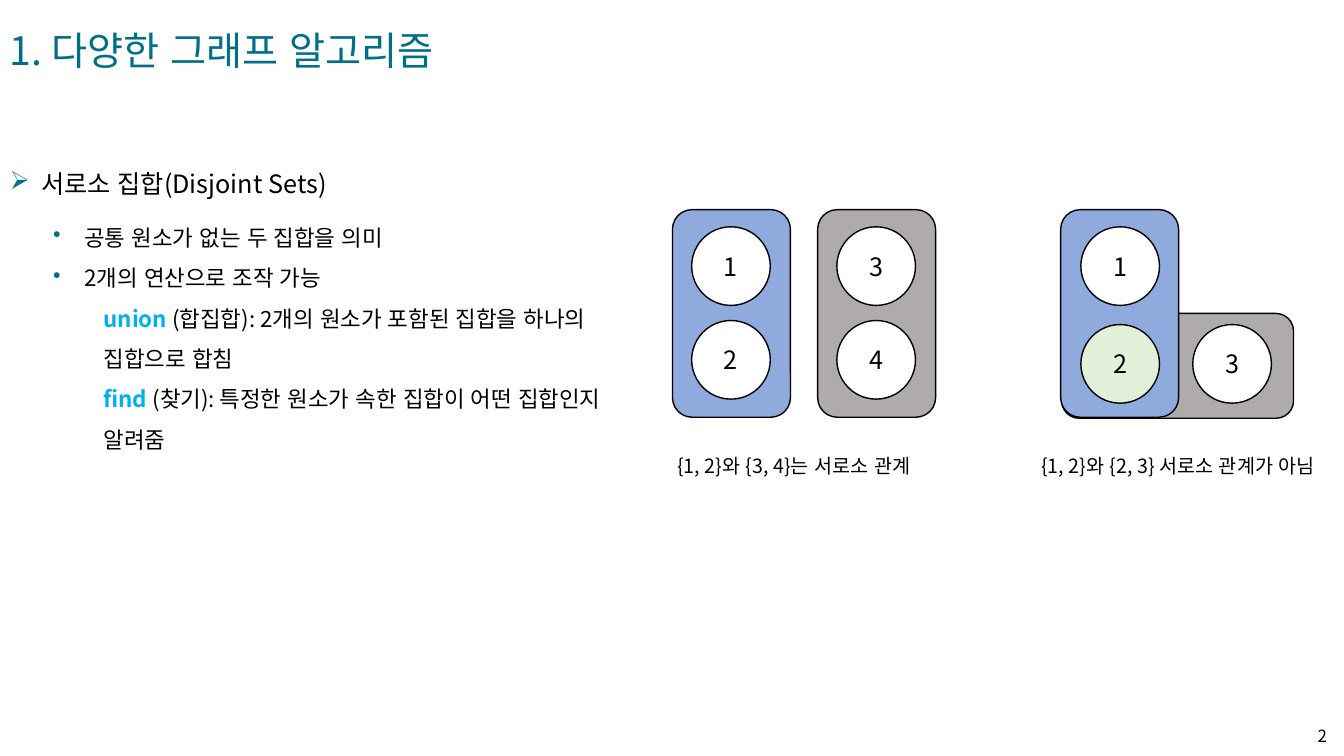
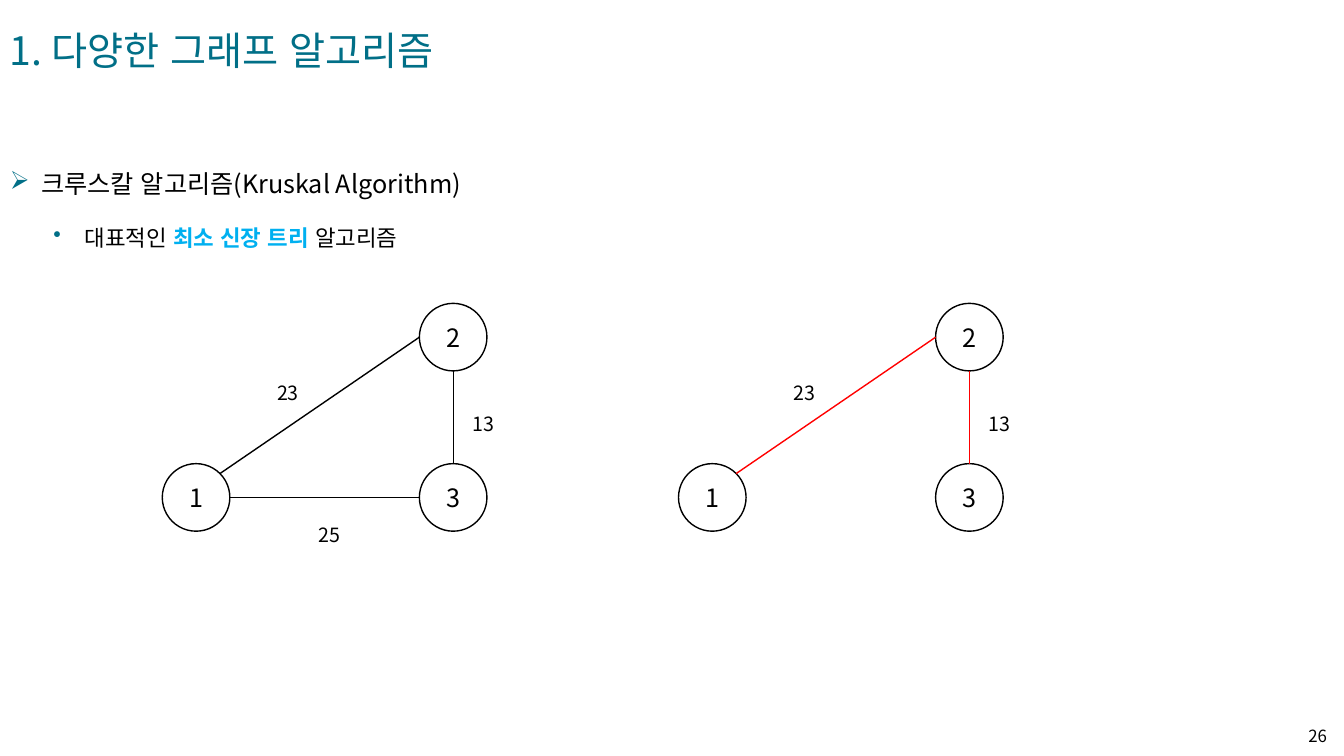
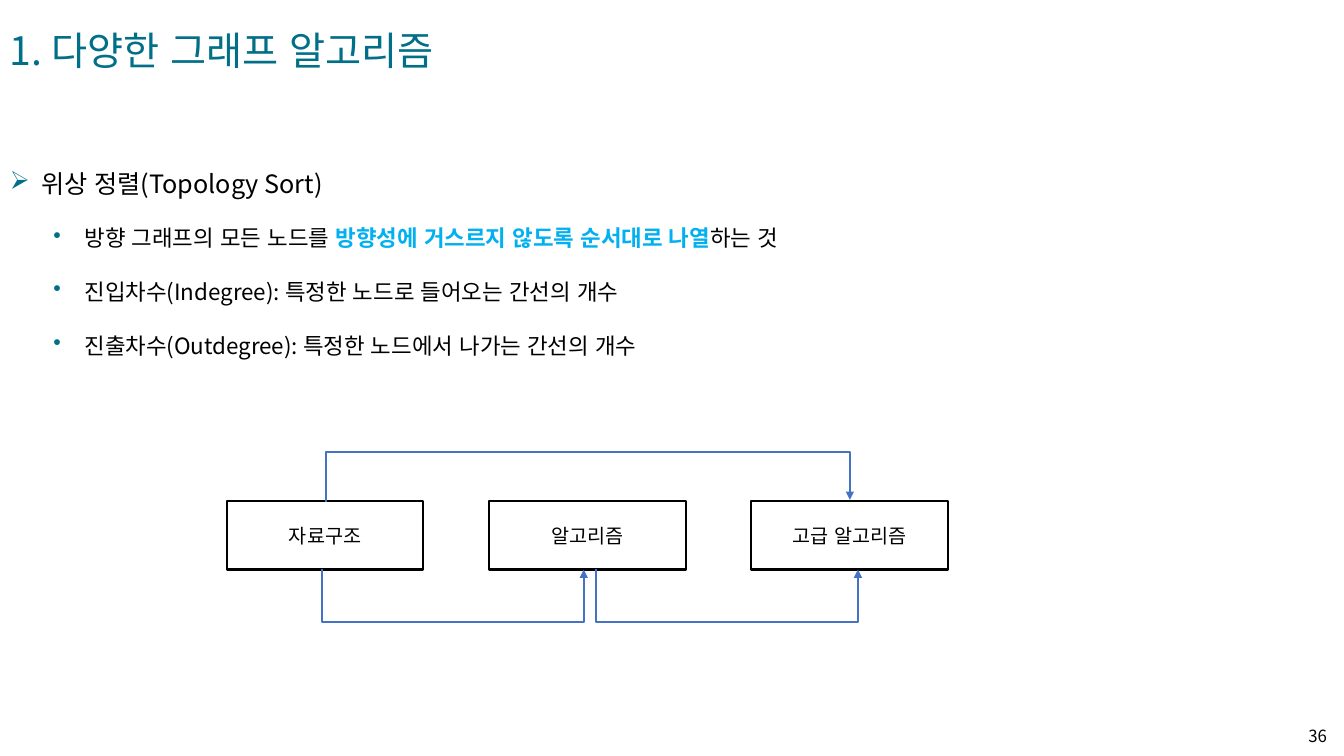
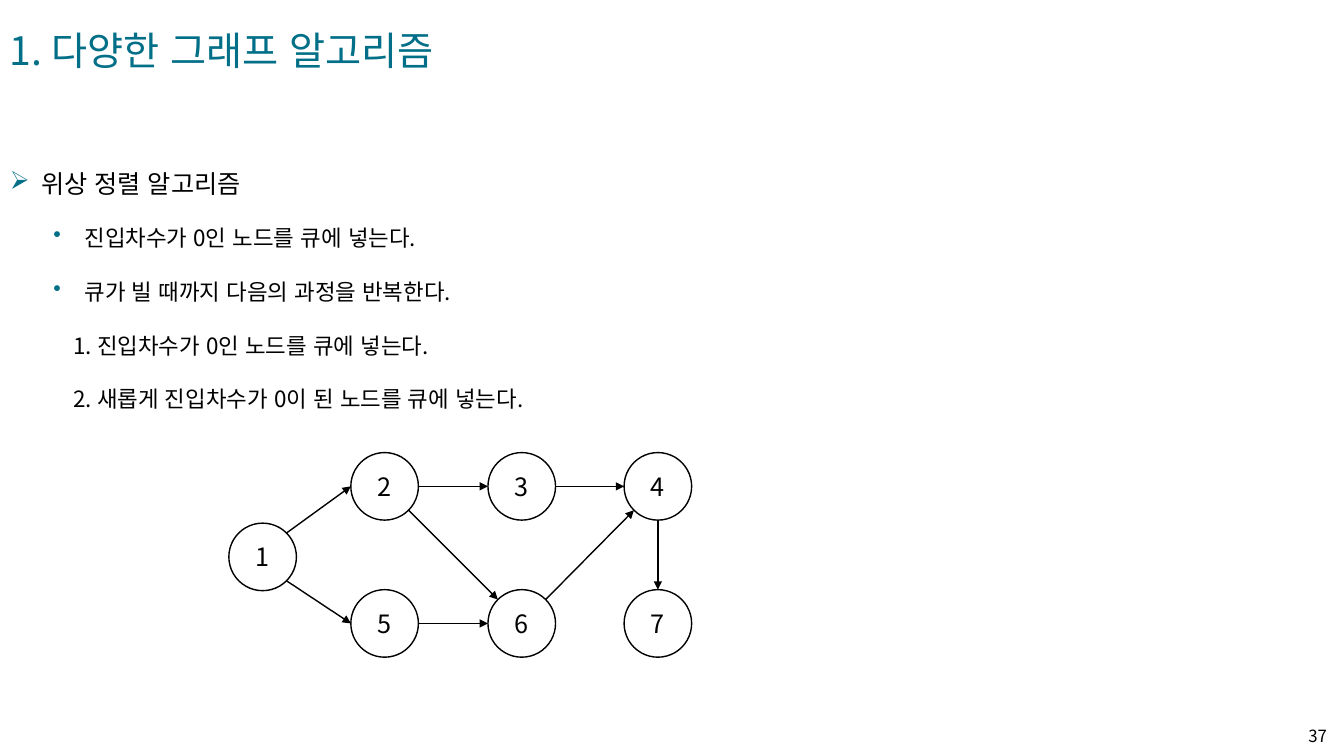
"""Builds four slides on disjoint sets, Kruskal's algorithm and topological sorting."""
from math import sqrt

from lxml import etree
from pptx import Presentation
from pptx.dml.color import RGBColor
from pptx.enum.lang import MSO_LANGUAGE_ID
from pptx.enum.shapes import MSO_CONNECTOR, MSO_SHAPE
from pptx.enum.text import MSO_ANCHOR, PP_ALIGN
from pptx.oxml.ns import qn
from pptx.util import Emu, Pt

PX = 9144
FONT = "Noto Sans CJK KR"
TEAL, SKY, BLACK, WHITE = "016F87", "00B0F0", "000000", "FFFFFF"
BLUE, GRAY, GREEN, RED, ARROW_BLUE = "8FAADC", "AFABAB", "E2F0D9", "FF0000", "4472C4"
OVAL, RECT, ROUND_RECT = MSO_SHAPE.OVAL, MSO_SHAPE.RECTANGLE, MSO_SHAPE.ROUNDED_RECTANGLE
STRAIGHT, ELBOW = MSO_CONNECTOR.STRAIGHT, MSO_CONNECTOR.ELBOW
LEFT, CENTER, RIGHT = PP_ALIGN.LEFT, PP_ALIGN.CENTER, PP_ALIGN.RIGHT
TOP, MIDDLE = MSO_ANCHOR.TOP, MSO_ANCHOR.MIDDLE
KOREAN = MSO_LANGUAGE_ID.KOREAN

TITLE = "1. 다양한 그래프 알고리즘"
NODE = 67
ELEMENT = 78
DIAGONAL = 1 / sqrt(2)
SITES = {
    "N": (0, -1), "E": (1, 0), "S": (0, 1), "W": (-1, 0),
    "NE": (DIAGONAL, -DIAGONAL), "SE": (DIAGONAL, DIAGONAL),
    "SW": (-DIAGONAL, DIAGONAL), "NW": (-DIAGONAL, -DIAGONAL),
}


def emu(*lengths):
    """Turn px lengths into EMU."""
    return [Emu(round(length * PX)) for length in lengths]


def rgb(color):
    """Turn a hex string into a colour."""
    return RGBColor.from_string(color)


def add_run(paragraph, text, size, color=BLACK, bold=False):
    """Add one run in the deck's font."""
    run = paragraph.add_run()
    run.text = text
    font = run.font
    font.name, font.size, font.bold = FONT, Pt(size), bold
    font.language_id = KOREAN
    font.color.rgb = rgb(color)
    etree.SubElement(font._element, qn("a:ea"), typeface=FONT)


def set_indent(paragraph, margin, bullet):
    """Set the left margin and, if given, a hanging teal bullet."""
    properties = paragraph._p.get_or_add_pPr()
    properties.set("marL", str(margin * PX))
    properties.set("indent", str(-margin * PX if bullet else 0))
    if bullet:
        bullet_color = etree.SubElement(properties, qn("a:buClr"))
        etree.SubElement(bullet_color, qn("a:srgbClr"), val=TEAL)
        etree.SubElement(properties, qn("a:buChar"), char=bullet)


def add_text(slide, box, paragraphs, size, color=BLACK, align=LEFT, anchor=TOP):
    """Place (text, spacing, margin, bullet) paragraphs; *marked* parts are highlighted."""
    frame = slide.shapes.add_textbox(*emu(*box)).text_frame
    frame.word_wrap = True
    frame.vertical_anchor = anchor
    for index, (text, spacing, margin, bullet) in enumerate(paragraphs):
        paragraph = frame.paragraphs[0] if index == 0 else frame.add_paragraph()
        paragraph.alignment = align
        paragraph.line_spacing = spacing
        set_indent(paragraph, margin, bullet)
        for part, words in enumerate(text.split("*")):
            highlighted = part % 2 == 1
            if words:
                add_run(paragraph, words, size, SKY if highlighted else color, highlighted)


def add_caption(slide, left, top, width, text):
    """Place a 14 pt caption or edge weight."""
    add_text(slide, (left, top, width, 50), [(text, 2.0, 0, None)], 14)


def add_figure(slide, kind, box, label="", fill=None, size=18, weight=1):
    """Place an outlined shape with a centred label."""
    figure = slide.shapes.add_shape(kind, *emu(*box))
    figure.shadow.inherit = False
    if fill:
        figure.fill.solid()
        figure.fill.fore_color.rgb = rgb(fill)
    else:
        figure.fill.background()
    figure.line.color.rgb = rgb(BLACK)
    figure.line.width = Pt(weight)
    if label:
        frame = figure.text_frame
        frame.vertical_anchor = MIDDLE
        frame.paragraphs[0].alignment = CENTER
        add_run(frame.paragraphs[0], label, size)


def add_link(slide, kind, start, end, color=BLACK, weight=1, arrow=False):
    """Draw a connector, with an arrowhead at its end if asked."""
    link = slide.shapes.add_connector(kind, *emu(*start, *end))
    link.line.color.rgb = rgb(color)
    link.line.width = Pt(weight)
    if arrow:
        etree.SubElement(link.line._get_or_add_ln(), qn("a:tailEnd"), type="triangle")
    etree.SubElement(link._element.spPr, qn("a:effectLst"))
    return link


def add_bracket(slide, start, end, depth):
    """Draw a U-shaped arrow that leaves start vertically, depth px up or down."""
    (x1, y1), (x2, y2) = start, end
    thickness, span = abs(y2 - y1), x2 - x1
    center_x, center_y = (x1 + x2) / 2, (y1 + y2) / 2
    left, right = center_x - thickness / 2, center_x + thickness / 2
    top, bottom = center_y - span / 2, center_y + span / 2
    upward = y2 < y1
    near, far, turn = (bottom, top, 90) if upward else (top, bottom, 270)
    link = add_link(slide, ELBOW, (right, near), (left, far), ARROW_BLUE, 1.5, True)
    properties = link._element.spPr
    properties.find(qn("a:xfrm")).set("rot", str(turn * 60000))
    geometry = properties.find(qn("a:prstGeom"))
    adjustments = geometry.find(qn("a:avLst"))
    if adjustments is None:
        adjustments = etree.SubElement(geometry, qn("a:avLst"))
    bend = round(depth / thickness * 100000)
    etree.SubElement(adjustments, qn("a:gd"), name="adj1", fmla=f"val {bend}")


def add_graph(slide, left, top, nodes, edges, color=BLACK, arrow=False):
    """Draw round nodes and the edges between their compass sites."""
    def site(label, compass):
        """Find a point on a node's rim."""
        return [origin + offset + NODE / 2 * (1 + direction) for origin, offset, direction
                in zip((left, top), nodes[label], SITES[compass])]

    for label, (x, y) in nodes.items():
        add_figure(slide, OVAL, (left + x, top + y, NODE, NODE), label)
    for start, start_site, end, end_site in edges:
        add_link(slide, STRAIGHT, site(start, start_site), site(end, end_site), color, arrow=arrow)


def add_set(slide, box, fill, elements):
    """Draw a rounded set with (label, x, y, fill) elements placed inside it."""
    add_figure(slide, ROUND_RECT, box, fill=fill)
    for label, x, y, element_fill in elements:
        add_figure(slide, OVAL, (box[0] + x, box[1] + y, ELEMENT, ELEMENT), label, element_fill)


def add_topic_slide(deck, number, heading, points, width=835):
    """Start a slide with title, page number, heading and points."""
    slide = deck.slides.add_slide(deck.slide_layouts[6])
    add_text(slide, (0, 21, 485, 57), [(TITLE, 1.0, 0, None)], 28, TEAL)
    add_text(slide, (1269, 710, 57, 40), [(number, 1.0, 0, None)], 12, align=RIGHT, anchor=MIDDLE)
    add_text(slide, (0, 132, 674, 63), [(heading, 2.0, 31, "➢")], 18)
    add_text(slide, (43, 191, width, 54 * len(points)), points, 16)
    return slide


def build_disjoint_sets(deck):
    """Build the slide on disjoint sets."""
    slide = add_topic_slide(deck, "2", "서로소 집합(Disjoint Sets)", [
        ("공통 원소가 없는 두 집합을 의미", 2.0, 31, "•"),
        ("2개의 연산으로 조작 가능", 1.5, 31, "•"),
        ("*union* (합집합): 2개의 원소가 포함된 집합을 하나의 집합으로 합침", 1.5, 50, None),
        ("*find* (찾기): 특정한 원소가 속한 집합이 어떤 집합인지 알려줌", 1.5, 50, None),
    ], 623)
    add_set(slide, (667, 208, 117, 206), BLUE, [("1", 19, 17, WHITE), ("2", 19, 110, WHITE)])
    add_set(slide, (811, 208, 117, 206), GRAY, [("3", 19, 17, WHITE), ("4", 19, 110, WHITE)])
    add_set(slide, (1053, 311, 230, 104), GRAY, [("3", 130, 11, WHITE)])
    add_set(slide, (1052, 208, 117, 206), BLUE, [("1", 20, 17, WHITE), ("2", 20, 114, GREEN)])
    add_caption(slide, 662, 422, 266, "{1, 2}와 {3, 4}는 서로소 관계")
    add_caption(slide, 1023, 422, 320, "{1, 2}와 {2, 3} 서로소 관계가 아님")


def build_kruskal(deck):
    """Build the slide on Kruskal's algorithm."""
    slide = add_topic_slide(deck, "26", "크루스칼 알고리즘(Kruskal Algorithm)", [
        ("대표적인 *최소 신장 트리 *알고리즘", 2.0, 31, "•"),
    ])
    nodes = {"1": (0, 159), "2": (255, 0), "3": (255, 159)}
    tree = [("2", "S", "3", "N"), ("1", "NE", "2", "W")]
    weights = [("23", 104, 49), ("13", 298, 79)]
    graphs = [
        (161, BLACK, tree + [("1", "E", "3", "W")], weights + [("25", 145, 190)]),
        (673, RED, tree, weights),
    ]
    for left, color, edges, labels in graphs:
        add_graph(slide, left, 301, nodes, edges, color)
        for weight, x, y in labels:
            add_caption(slide, left + x, 301 + y, 57, weight)


def build_topology_sort(deck):
    """Build the slide that defines topological sorting."""
    slide = add_topic_slide(deck, "36", "위상 정렬(Topology Sort)", [
        ("방향 그래프의 모든 노드를 *방향성에 거스르지 않도록 순서대로 나열*하는 것", 2.0, 31, "•"),
        ("진입차수(Indegree): 특정한 노드로 들어오는 간선의 개수", 2.0, 31, "•"),
        ("진출차수(Outdegree): 특정한 노드에서 나가는 간선의 개수", 2.0, 31, "•"),
    ])
    for index, course in enumerate(["자료구조", "알고리즘", "고급 알고리즘"]):
        add_figure(slide, RECT, (225 + 260 * index, 497, 195, 68), course, size=14, weight=1.5)
    add_bracket(slide, (323, 498), (843, 496), 49)
    for x in (319, 591):
        add_bracket(slide, (x, 564), (x + 260, 565), 54)


def build_topology_steps(deck):
    """Build the slide with the steps of topological sorting."""
    slide = add_topic_slide(deck, "37", "위상 정렬 알고리즘", [
        ("진입차수가 0인 노드를 큐에 넣는다.", 2.0, 31, "•"),
        ("큐가 빌 때까지 다음의 과정을 반복한다.", 2.0, 31, "•"),
        ("1. 진입차수가 0인 노드를 큐에 넣는다.", 2.0, 20, None),
        ("2. 새롭게 진입차수가 0이 된 노드를 큐에 넣는다.", 2.0, 20, None),
    ])
    nodes = {
        "1": (0, 70), "2": (121, 0), "3": (257, 0), "4": (392, 0),
        "5": (121, 136), "6": (257, 136), "7": (392, 136),
    }
    edges = [
        ("1", "NE", "2", "W"), ("1", "SE", "5", "W"), ("2", "E", "3", "W"),
        ("5", "E", "6", "W"), ("2", "SE", "6", "NW"), ("6", "NE", "4", "SW"),
        ("3", "E", "4", "W"), ("4", "S", "7", "N"),
    ]
    add_graph(slide, 227, 449, nodes, edges, arrow=True)


def main():
    """Build and save the deck."""
    deck = Presentation()
    deck.slide_width, deck.slide_height = emu(1333, 750)
    for build in (build_disjoint_sets, build_kruskal, build_topology_sort, build_topology_steps):
        build(deck)
    deck.save("out.pptx")


if __name__ == "__main__":
    main()
